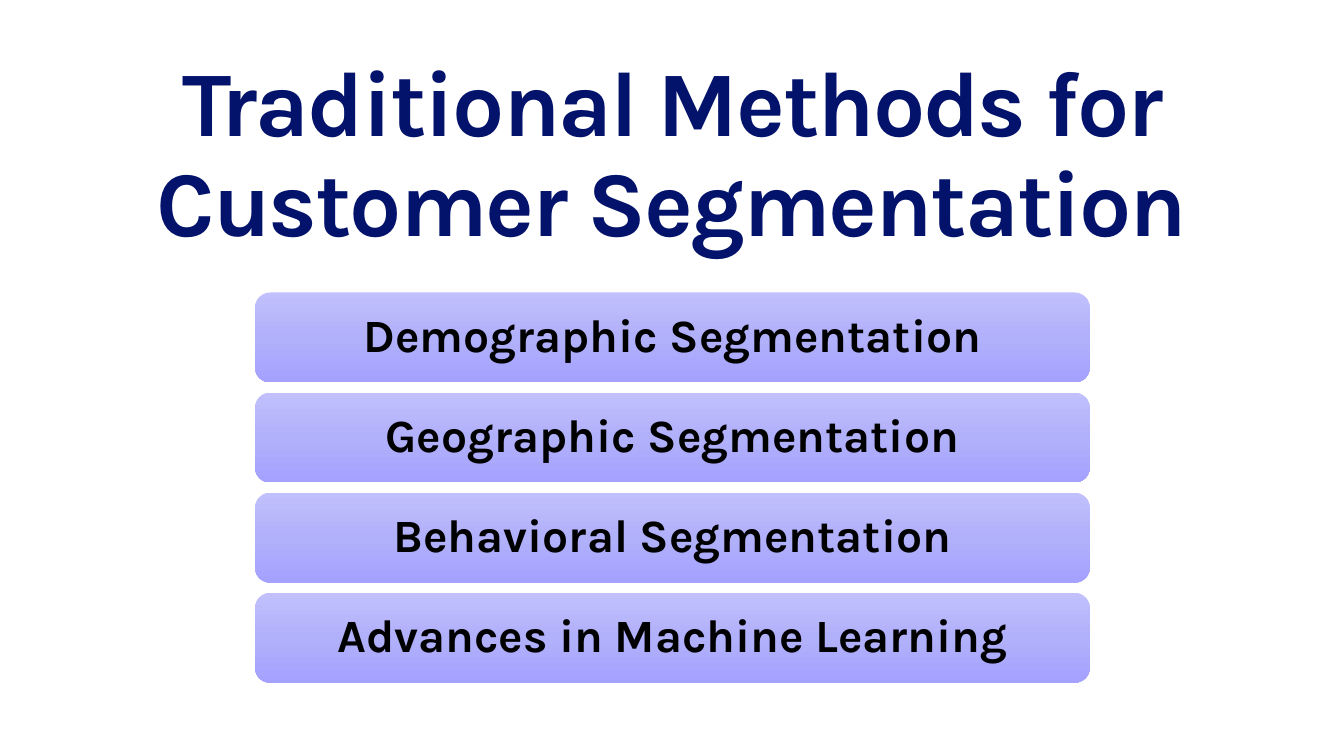
"""Build the slide on traditional methods for customer segmentation."""
from copy import deepcopy

from pptx import Presentation
from pptx.dml.color import RGBColor
from pptx.enum.shapes import MSO_SHAPE as Shape
from pptx.enum.text import MSO_ANCHOR as Anchor, MSO_AUTO_SIZE as AutoSize, PP_ALIGN as Align
from pptx.oxml.ns import qn
from pptx.util import Pt

TITLE = "Traditional Methods for Customer Segmentation"
METHODS = [
    "Demographic Segmentation",
    "Geographic Segmentation",
    "Behavioral Segmentation",
    "Advances in Machine Learning",
]
GRADIENT = [(0, "C1C0FD"), (0.5, "B1B0FB"), (1, "A4A2FE")]
FONT = "Karla"
BAR_LEFT, BAR_TOP, BAR_WIDTH, BAR_HEIGHT = 182.2, 208.9, 596.2, 64.2
BAR_PITCH = 71.5


def color(value):
    return RGBColor.from_string(value)


def write(shape, text, size, ink, anchor):
    frame = shape.text_frame
    frame.word_wrap = True
    frame.auto_size = AutoSize.NONE
    frame.vertical_anchor = anchor
    para = frame.paragraphs[0]
    para.alignment = Align.CENTER
    para.line_spacing = 0.9
    para.space_before = Pt(0)
    span = para.add_run()
    span.text = text
    span.font.name = FONT
    span.font.size = Pt(size)
    span.font.bold = True
    span.font.color.rgb = color(ink)
    return span


def paint_gradient(shape):
    shape.fill.gradient()
    shape.fill.gradient_angle = 270
    stop_list = shape.element.spPr.find(qn("a:gradFill")).find(qn("a:gsLst"))
    stop_list.append(deepcopy(stop_list[-1]))
    for stop, (position, value) in zip(shape.fill.gradient_stops, GRADIENT):
        stop.position = position
        stop.color.rgb = color(value)


def add_bar(page, index, text):
    top = BAR_TOP + index * BAR_PITCH
    bar = page.shapes.add_shape(
        Shape.ROUNDED_RECTANGLE, Pt(BAR_LEFT), Pt(top), Pt(BAR_WIDTH), Pt(BAR_HEIGHT)
    )
    bar.shadow.inherit = False
    bar.line.fill.background()
    paint_gradient(bar)
    write(bar, text, 33, "000000", Anchor.MIDDLE)


def main():
    deck = Presentation()
    deck.slide_width, deck.slide_height = Pt(960), Pt(540)
    page = deck.slides.add_slide(deck.slide_layouts[5])
    title = page.shapes.title
    title.left, title.top, title.width, title.height = Pt(68.4), Pt(31.7), Pt(823.7), Pt(154.8)
    span = write(title, TITLE, 66, "03126A", Anchor.BOTTOM)
    span.font._element.set("spc", "-150")
    for index, method in enumerate(METHODS):
        add_bar(page, index, method)
    deck.save("out.pptx")


if __name__ == "__main__":
    main()
